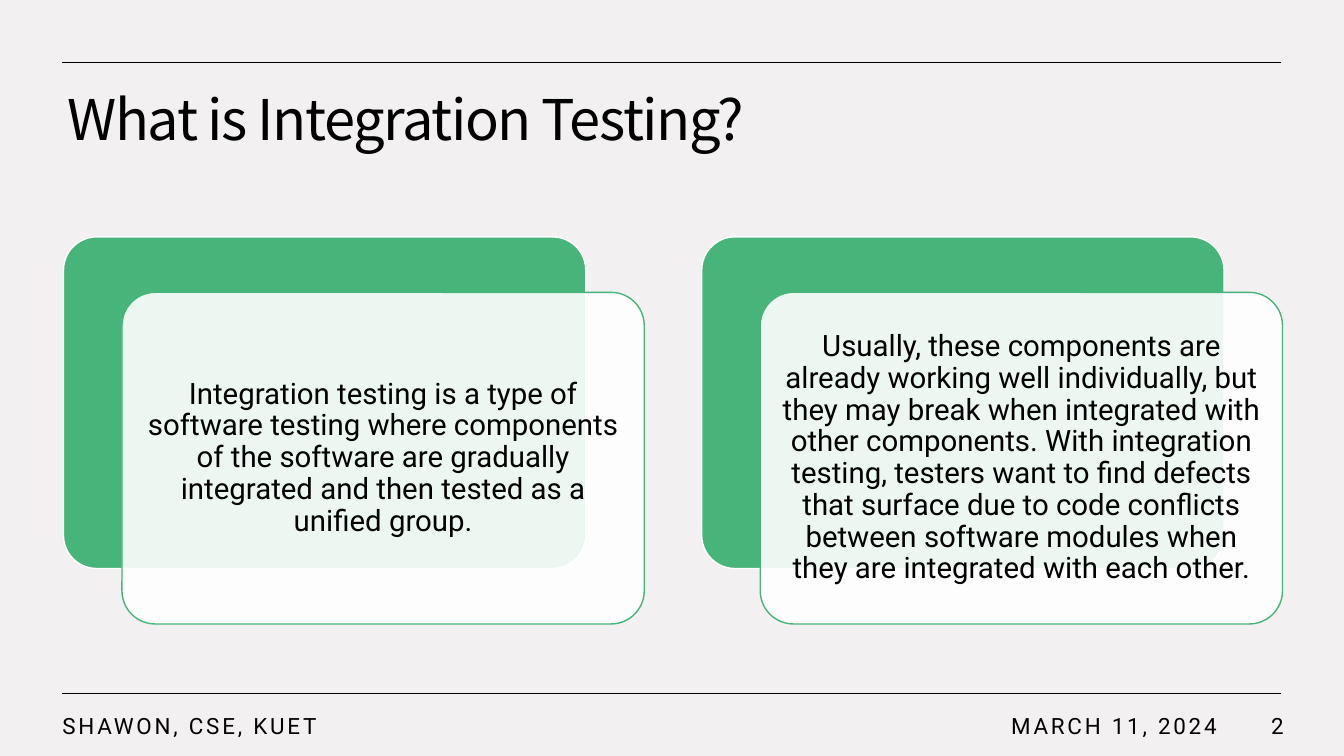
from dataclasses import dataclass

from lxml.etree import SubElement
from pptx import Presentation
from pptx.dml.color import RGBColor
from pptx.enum.shapes import MSO_CONNECTOR, MSO_SHAPE
from pptx.enum.text import MSO_ANCHOR, MSO_AUTO_SIZE, PP_ALIGN
from pptx.oxml.ns import qn
from pptx.util import Pt

PX = 9144  # 100 px to the inch
COLORS = {"background": "F3F0F2", "ink": "000000", "green": "47B47A", "white": "FFFFFF"}
HEADING_FONT, BODY_FONT = "Noto Sans CJK KR", "Roboto"

CARD_TOP, CARD_WIDTH, CARD_HEIGHT = 235, 518, 329
CARD_SHIFT_X, CARD_SHIFT_Y = 58, 55
CARD_INSET = 9
RULE_LEFT, RULE_RIGHT = 62, 1271
FOOTER_TOP, FOOTER_HEIGHT = 700, 40


@dataclass
class Card:
    left: int
    statement: str


@dataclass
class FooterItem:
    left: int
    width: int
    wording: str
    align: PP_ALIGN
    spacing: int = 0


CARDS = [
    Card(63, "Integration testing is a type of software testing where components "
             "of the software are gradually integrated and then tested as a unified group."),
    Card(696, "Usually, these components are already working well individually, but they "
              "may break when integrated with other components. With integration testing, "
              "testers want to find defects that surface due to code conflicts between "
              "software modules when they are integrated with each other."),
]
FOOTER = [
    FooterItem(879, 338, "MARCH 11, 2024", PP_ALIGN.RIGHT, 2),
    FooterItem(52, 450, "SHAWON, CSE, KUET", PP_ALIGN.LEFT, 2),
    FooterItem(1206, 77, "2", PP_ALIGN.RIGHT),
]


def px(length: int) -> int:
    return length * PX


def color(name: str) -> RGBColor:
    return RGBColor.from_string(COLORS[name])


def write(frame, wording: str, font: str, size: int, align: PP_ALIGN,
          line_spacing: float = 1.0, spacing: int = 0) -> None:
    frame.word_wrap = True
    frame.auto_size = MSO_AUTO_SIZE.NONE
    paragraph = frame.paragraphs[0]
    run = paragraph.add_run()
    run.text = wording
    paragraph.alignment = align
    paragraph.line_spacing = line_spacing
    paragraph.font.name = font
    paragraph.font.size = Pt(size)
    paragraph.font.color.rgb = color("ink")
    if spacing:
        run._r.get_or_add_rPr().set("spc", str(spacing * 100))


def add_rule(slide, y: int) -> None:
    rule = slide.shapes.add_connector(
        MSO_CONNECTOR.STRAIGHT, px(RULE_RIGHT), px(y), px(RULE_LEFT), px(y))
    rule.line.color.rgb = color("ink")
    rule.line.width = Pt(0.5)
    SubElement(rule._element.spPr, qn("a:effectLst"))


def add_panel(slide, left: int, top: int, fill: str, outline: str):
    panel = slide.shapes.add_shape(
        MSO_SHAPE.ROUNDED_RECTANGLE, px(left), px(top), px(CARD_WIDTH), px(CARD_HEIGHT))
    panel.adjustments[0] = 0.1
    panel.shadow.inherit = False
    panel.fill.solid()
    panel.fill.fore_color.rgb = color(fill)
    panel.line.color.rgb = color(outline)
    panel.line.width = Pt(1)
    return panel


def add_card(slide, card: Card) -> None:
    add_panel(slide, card.left, CARD_TOP, "green", "white")
    front = add_panel(slide, card.left + CARD_SHIFT_X, CARD_TOP + CARD_SHIFT_Y, "white", "green")
    fill_color = front._element.spPr.find(qn("a:solidFill"))[0]
    SubElement(fill_color, qn("a:alpha"), val="90000")
    frame = front.text_frame
    frame.margin_left = frame.margin_right = px(CARD_INSET)
    frame.margin_top = frame.margin_bottom = px(CARD_INSET)
    frame.vertical_anchor = MSO_ANCHOR.MIDDLE
    write(frame, card.statement, BODY_FONT, 21, PP_ALIGN.CENTER, line_spacing=0.9)


def add_footer_item(slide, item: FooterItem) -> None:
    box = slide.shapes.add_textbox(
        px(item.left), px(FOOTER_TOP), px(item.width), px(FOOTER_HEIGHT))
    box.text_frame.vertical_anchor = MSO_ANCHOR.MIDDLE
    write(box.text_frame, item.wording, BODY_FONT, 16, item.align, spacing=item.spacing)


def main() -> None:
    deck = Presentation()
    deck.slide_width, deck.slide_height = px(1333), px(750)
    slide = deck.slides.add_slide(deck.slide_layouts[5])
    slide.background.fill.solid()
    slide.background.fill.fore_color.rgb = color("background")

    # Title
    title = slide.shapes.title
    title.left, title.top, title.width, title.height = px(57), px(86), px(1215), px(115)
    title.text_frame.vertical_anchor = MSO_ANCHOR.TOP
    write(title.text_frame, "What is Integration Testing?", HEADING_FONT, 40,
          PP_ALIGN.LEFT, line_spacing=0.9, spacing=-1)

    # Rules above the title and above the footer
    for y in (62, 688):
        add_rule(slide, y)

    # Statement cards
    for card in CARDS:
        add_card(slide, card)

    # Footer
    for item in FOOTER:
        add_footer_item(slide, item)

    deck.save("out.pptx")


if __name__ == "__main__":
    main()
